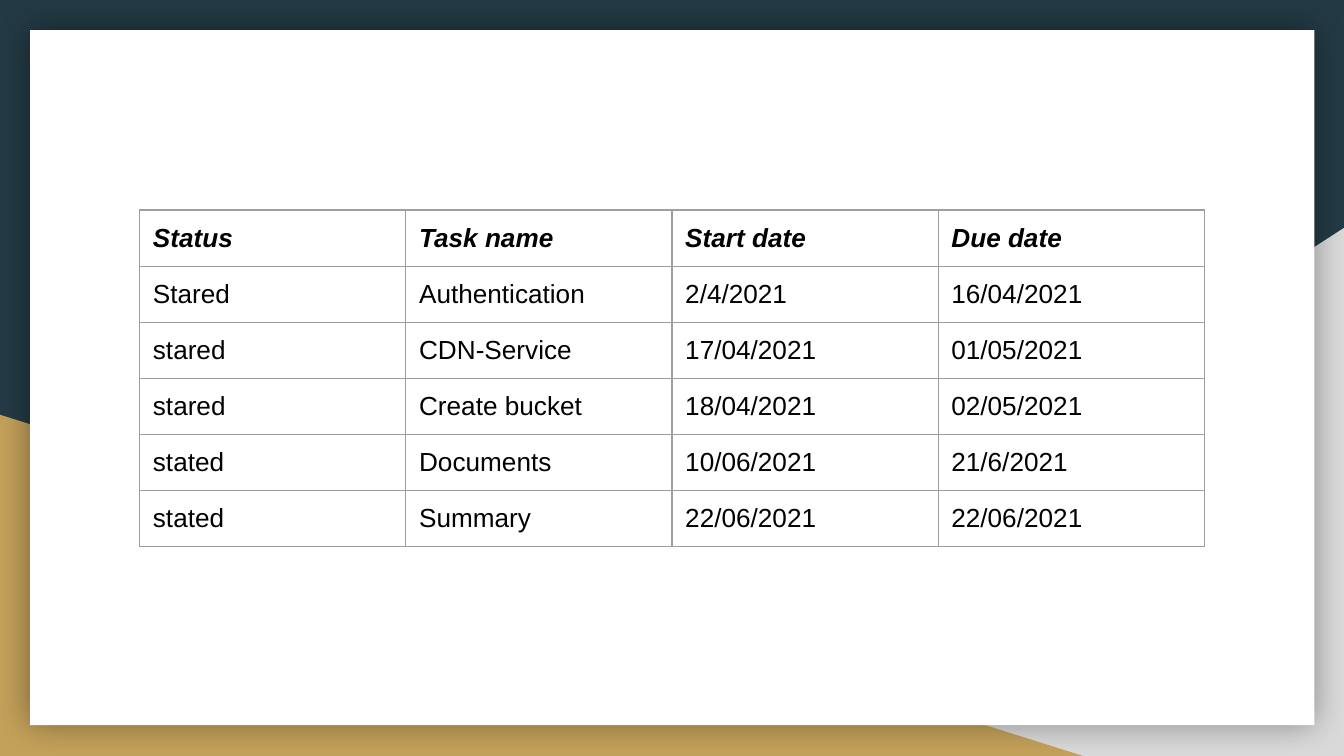
from dataclasses import dataclass

from lxml import etree
from pptx import Presentation
from pptx import util as u
from pptx.dml.color import RGBColor
from pptx.enum import shapes
from pptx.oxml import ns

NAVY = RGBColor(0x23, 0x3A, 0x44)
GREY = RGBColor(0xD9, 0xD9, 0xD9)
GOLD = RGBColor(0xC4, 0xA1, 0x5A)
WHITE = RGBColor(0xFF, 0xFF, 0xFF)
BLACK = RGBColor(0x00, 0x00, 0x00)
BORDER = RGBColor(0x9E, 0x9E, 0x9E)

FONT = "Arial"
COL_WIDTH = u.Cm(5.03)
ROW_HEIGHT = u.Cm(1.06)
INSET = u.Cm(0.25)


@dataclass
class Block:
    kind: shapes.MSO_SHAPE
    left: float
    top: float
    width: float
    height: float
    fill: RGBColor
    flipped: bool = False
    shadowed: bool = False


@dataclass
class Task:
    status: str
    name: str
    start: str
    due: str

    def values(self) -> list[str]:
        return [self.status, self.name, self.start, self.due]


BLOCKS = [
    Block(shapes.MSO_SHAPE.RIGHT_TRIANGLE, 9.96, 4.31, 15.44, 9.98, GREY, flipped=True),
    Block(shapes.MSO_SHAPE.RIGHT_TRIANGLE, 0, 7.84, 20.47, 6.45, GOLD),
    Block(shapes.MSO_SHAPE.RECTANGLE, 0.57, 0.57, 24.27, 13.14, WHITE, shadowed=True),
]

TASKS = [
    Task("Status", "Task name", "Start date", "Due date"),
    Task("Stared", "Authentication", "2/4/2021", "16/04/2021"),
    Task("stared", "CDN-Service", "17/04/2021", "01/05/2021"),
    Task("stared", "Create bucket", "18/04/2021", "02/05/2021"),
    Task("stated", "Documents", "10/06/2021", "21/6/2021"),
    Task("stated", "Summary", "22/06/2021", "22/06/2021"),
]


def add_color(parent, color: RGBColor):
    return etree.SubElement(parent, ns.qn("a:srgbClr"), val=str(color))


def draw_block(s, block: Block) -> None:
    sp = s.shapes.add_shape(
        block.kind, u.Cm(block.left), u.Cm(block.top), u.Cm(block.width), u.Cm(block.height)
    )
    sp.shadow.inherit = False
    sp.fill.solid()
    sp.fill.fore_color.rgb = block.fill
    sp.line.fill.background()
    props = sp._element.spPr
    if block.flipped:
        props.find(ns.qn("a:xfrm")).set("flipH", "1")
    if block.shadowed:
        effects = props.find(ns.qn("a:effectLst"))
        shadow = etree.SubElement(
            effects, ns.qn("a:outerShdw"), blurRad=str(u.Pt(18)), dist="0", dir="0",
            algn="ctr", rotWithShape="0",
        )
        etree.SubElement(add_color(shadow, BLACK), ns.qn("a:alpha"), val="40000")


def format_cell(cell, value: str, header: bool) -> None:
    cell.margin_left = cell.margin_right = INSET
    cell.margin_top = cell.margin_bottom = INSET
    props = cell._tc.get_or_add_tcPr()
    for side in ("lnL", "lnR", "lnT", "lnB"):
        line = etree.SubElement(props, ns.qn(f"a:{side}"), w=str(u.Pt(0.75)))
        add_color(etree.SubElement(line, ns.qn("a:solidFill")), BORDER)
    cell.fill.background()
    p = cell.text_frame.paragraphs[0]
    p.text = value
    font = p.runs[0].font
    font.name = FONT
    font.size = u.Pt(14)
    font.color.rgb = BLACK
    font.bold = font.italic = header


def draw_tasks(s, tasks: list[Task]) -> None:
    columns = len(tasks[0].values())
    table = s.shapes.add_table(
        len(tasks), columns, u.Cm(2.64), u.Cm(3.97),
        COL_WIDTH * columns, ROW_HEIGHT * len(tasks),
    ).table
    table.first_row = table.horz_banding = False
    for column in table.columns:
        column.width = COL_WIDTH
    for i, task in enumerate(tasks):
        table.rows[i].height = ROW_HEIGHT
        for j, value in enumerate(task.values()):
            format_cell(table.cell(i, j), value, header=i == 0)


def main() -> None:
    prs = Presentation()
    prs.slide_width = u.Cm(25.4)
    prs.slide_height = u.Cm(14.29)
    s = prs.slides.add_slide(prs.slide_layouts[6])
    s.background.fill.solid()
    s.background.fill.fore_color.rgb = NAVY
    for block in BLOCKS:
        draw_block(s, block)
    draw_tasks(s, TASKS)
    prs.save("out.pptx")


if __name__ == "__main__":
    main()
